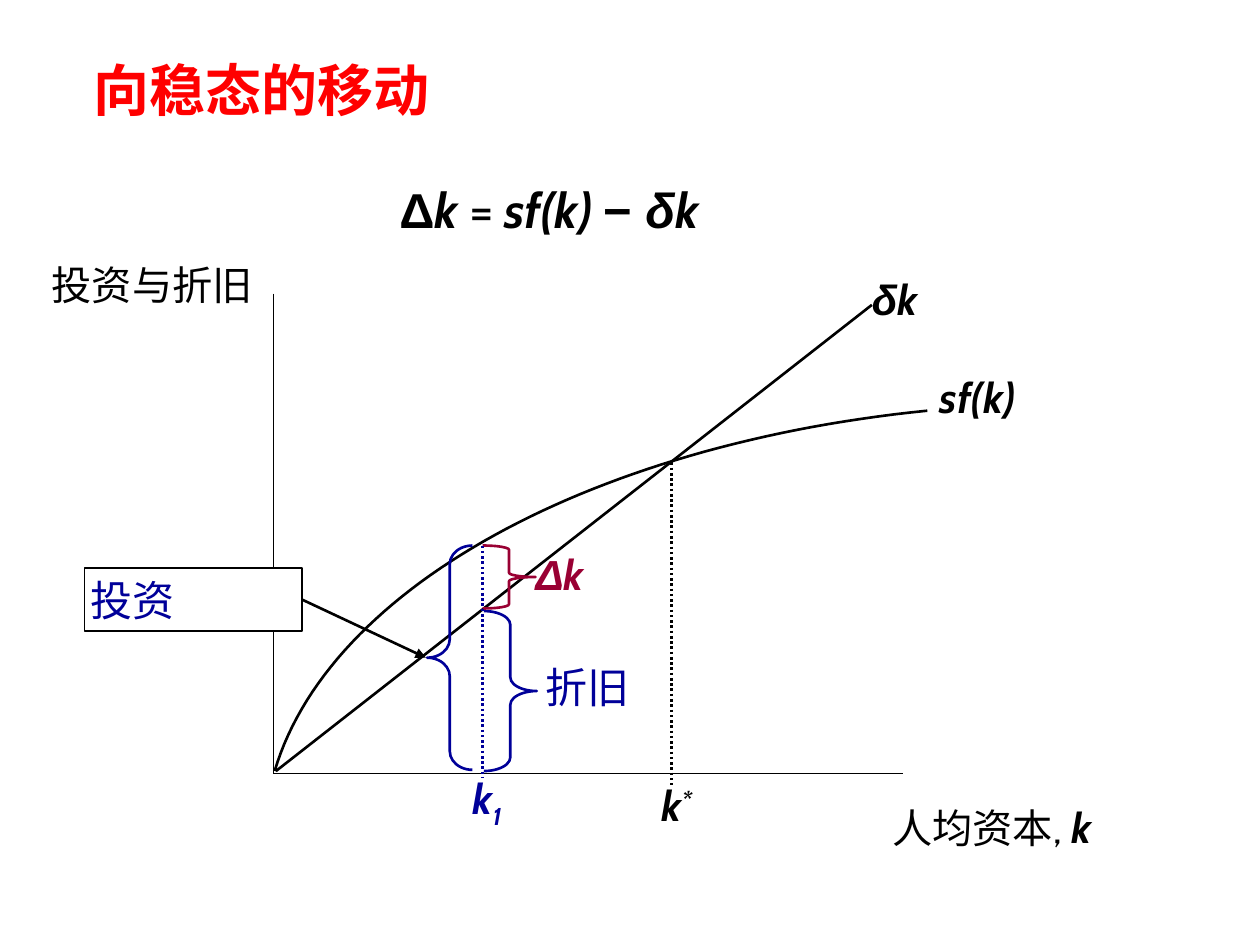
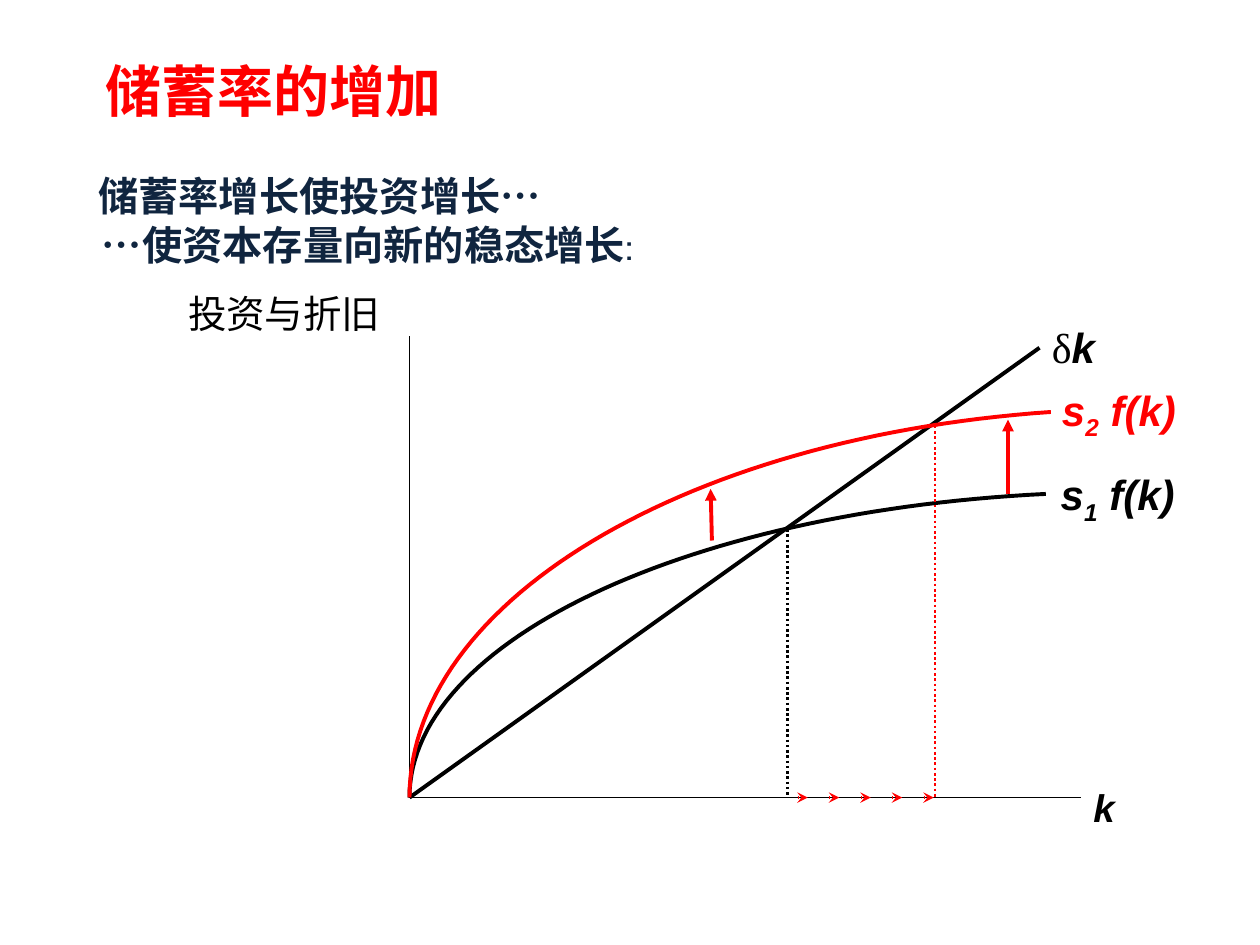
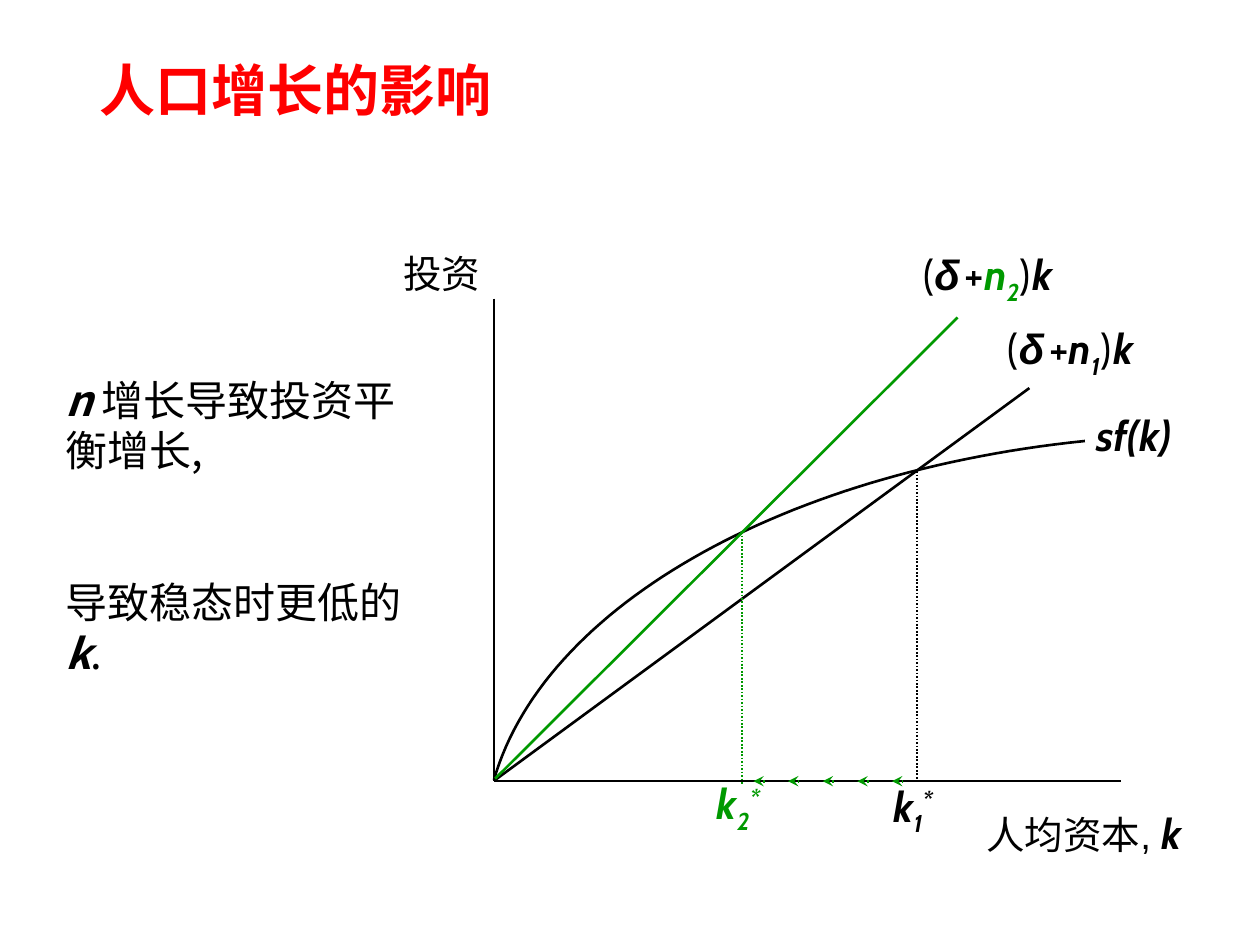
import pptx
import pptx.dml.color
import pptx.enum.dml
import pptx.enum.shapes
import pptx.enum.text
import pptx.oxml
import pptx.oxml.ns
import pptx.util
from pptx.util import Inches

COLORS = {"black": "000000", "white": "FFFFFF", "red": "FF0000", "blue": "000099",
          "crimson": "990033", "green": "009900", "navy": "10253F"}
CHINESE_FONT = "Noto Sans CJK SC"
SHAPES = pptx.enum.shapes.MSO_SHAPE
LEFT, CENTER = pptx.enum.text.PP_ALIGN.LEFT, pptx.enum.text.PP_ALIGN.CENTER
TOP, MIDDLE = pptx.enum.text.MSO_ANCHOR.TOP, pptx.enum.text.MSO_ANCHOR.MIDDLE

# Insets: left, top, right, bottom
FLUSH, SLIM, ROOMY = (0, 0, 0, 0), (0.05,) * 4, (0.1, 0.05, 0.1, 0.05)
LOW, HIGH_AND_LOW = (0, 0, 0, 0.1), (0, 0.1, 0, 0.1)
SUBSCRIPT, SUPERSCRIPT = -25000, 30000


def color(name):
    return pptx.dml.color.RGBColor.from_string(COLORS[name])


# Text
def plain(text, **formats):
    return text, {"name": "Cabin", "size": 24, "bold": False, "italic": False,
                  "color": "black", "baseline": 0, **formats}


def symbol(text, **formats):
    return plain(text, **{"bold": True, "italic": True, **formats})


def write(frame, spans, align=LEFT, before=0):
    para = frame.paragraphs[0]
    para.alignment = align
    para.space_before = pptx.util.Pt(before)
    for text, formats in spans:
        span = para.add_run()
        span.text = text
        span.font.color.rgb = color(formats["color"])
        span.font.size = pptx.util.Pt(formats["size"])
        for key in ("name", "bold", "italic"):
            setattr(span.font, key, formats[key])
        properties = span.font._element
        if formats["baseline"]:
            properties.set("baseline", str(formats["baseline"]))
        east_asian = pptx.oxml.parse_xml(
            f'<a:ea {pptx.oxml.ns.nsdecls("a")} typeface="{CHINESE_FONT}"/>')
        properties.append(east_asian)


def fill_frame(box, spans, insets, anchor, align, before):
    frame = box.text_frame
    frame.word_wrap = True
    frame.auto_size = pptx.enum.text.MSO_AUTO_SIZE.SHAPE_TO_FIT_TEXT
    frame.vertical_anchor = anchor
    for side, inset in zip(("left", "top", "right", "bottom"), insets):
        setattr(frame, "margin_" + side, Inches(inset))
    write(frame, spans, align, before)


def add_label(page, place, spans, insets=FLUSH, anchor=MIDDLE, align=LEFT, before=15):
    box = page.shapes.add_textbox(*map(Inches, place))
    fill_frame(box, spans, insets, anchor, align, before)


def add_panel(page, place, spans, insets, anchor=MIDDLE, align=LEFT, before=15,
              outline=None, opacity=None):
    panel = page.shapes.add_shape(SHAPES.RECTANGLE, *map(Inches, place))
    panel.shadow.inherit = False
    panel.fill.solid()
    panel.fill.fore_color.rgb = color("white")
    if opacity:
        fill = panel._element.spPr.find(".//" + pptx.oxml.ns.qn("a:srgbClr"))
        fill.append(pptx.oxml.parse_xml(
            f'<a:alpha {pptx.oxml.ns.nsdecls("a")} val="{opacity * 1000}"/>'))
    if outline:
        set_line(panel, outline, 1)
    else:
        panel.line.fill.background()
    fill_frame(panel, spans, insets, anchor, align, before)
    return panel


def add_page(deck, title, place, align=CENTER):
    page = deck.slides.add_slide(deck.slide_layouts[5])
    heading = page.shapes.title
    heading.left, heading.top, heading.width, heading.height = map(Inches, place)
    heading.text_frame.vertical_anchor = MIDDLE
    write(heading.text_frame,
          [plain(title, name=CHINESE_FONT, size=32, bold=True, color="red")], align)
    return page


# Lines, curves and braces
def set_line(shape, ink, width):
    shape.line.color.rgb = color(ink)
    shape.line.width = pptx.util.Pt(width)


def add_line(page, start, end, ink="black", width=1.5, dotted=False, arrow=None):
    line = page.shapes.add_connector(pptx.enum.shapes.MSO_CONNECTOR.STRAIGHT,
                                     *map(Inches, start + end))
    set_line(line, ink, width)
    if dotted:
        line.line.dash_style = pptx.enum.dml.MSO_LINE.ROUND_DOT
    namespace = pptx.oxml.ns.nsdecls("a")
    if arrow:
        line.line._get_or_add_ln().append(
            pptx.oxml.parse_xml(f'<a:tailEnd {namespace} type="{arrow}"/>'))
    line._element.spPr.append(pptx.oxml.parse_xml(f"<a:effectLst {namespace}/>"))
    return line


def add_axes(page, top, origin, right, width):
    add_line(page, (origin[0], top), origin, width=width)
    add_line(page, origin, (right, origin[1]), width=width)


def add_curve(page, controls, ink="black", width=1.5, steps=60):
    """Draw a cubic curve through its four control points."""
    points = []
    for step in range(steps + 1):
        t = step / steps
        weights = ((1 - t) ** 3, 3 * t * (1 - t) ** 2, 3 * t * t * (1 - t), t ** 3)
        points.append(tuple(Inches(sum(weight * control[axis] for weight, control
                                       in zip(weights, controls))) for axis in (0, 1)))
    builder = page.shapes.build_freeform(*points[0], scale=1.0)
    builder.add_line_segments(points[1:], close=False)
    curve = builder.convert_to_shape()
    curve.shadow.inherit = False
    curve.fill.background()
    set_line(curve, ink, width)


def add_brace(page, kind, place, bend, ink):
    brace = page.shapes.add_shape(kind, *map(Inches, place))
    brace.adjustments[0] = bend
    brace.shadow.inherit = False
    brace.fill.background()
    set_line(brace, ink, 1.5)


def add_arrow_row(page, first, last, level, length, ink, count=5):
    """Space short arrows evenly along the horizontal axis."""
    gap = (last - first) / (count - 1)
    for index in range(count):
        left = first + index * gap
        add_line(page, (left, level), (left + length, level), ink, arrow="stealth")


# Slides
def add_steady_state(deck):
    page = add_page(deck, "向稳态的移动", (0.64, 0.36, 9.17, 0.69), LEFT)
    add_axes(page, 2.33, (2.17, 6.14), 7.17, 1)
    add_label(page, (0.24, 2.07, 2.01, 0.38), [plain("投资与折旧 ", size=23)],
              align=CENTER, before=14.4)
    add_label(page, (7.08, 6.36, 1.75, 0.4), [plain("人均资本, ", size=23), symbol("k")])

    add_curve(page, [(7.36, 3.26), (4.68, 3.53), (2.61, 4.67), (2.18, 6.12)])
    add_label(page, (7.46, 2.95, 0.88, 0.4), [symbol("sf(k)")])
    add_label(page, (6.92, 2.17, 1.08, 0.4), [symbol("δ", name="Arial"), symbol("k")])
    add_line(page, (2.19, 6.12), (6.92, 2.42))
    add_line(page, (5.33, 3.67), (5.33, 6.23), dotted=True)
    add_label(page, (5.25, 6.19, 0.58, 0.4),
              [symbol("k"), symbol("*", baseline=SUPERSCRIPT)])

    # Equation
    large, large_arial = {"size": 28}, {"size": 28, "name": "Arial"}
    add_label(page, (3.17, 1.42, 2.92, 0.47),
              [symbol("Δ", italic=False, **large_arial), symbol("k", **large),
               plain(" = ", **large), symbol("sf(k) ", **large),
               symbol("− ", italic=False, **large_arial),
               symbol("δ", **large_arial), symbol("k", **large)], before=17.5)

    # Depreciation, change in capital and investment at k1
    add_brace(page, SHAPES.RIGHT_BRACE, (3.84, 4.85, 0.42, 1.27), 0.26, "blue")
    add_label(page, (4.33, 5.25, 1.83, 0.4), [plain("折旧", color="blue")], anchor=TOP)
    add_brace(page, SHAPES.RIGHT_BRACE, (3.83, 4.33, 0.42, 0.5), 0.08, "crimson")
    add_label(page, (4.25, 4.35, 0.58, 0.4),
              [symbol("Δ", name="Arial", color="crimson"), symbol("k", color="crimson")],
              anchor=TOP)
    add_label(page, (3.75, 6.03, 0.58, 0.66),
              [symbol("k", color="blue"), symbol("1", color="blue", baseline=SUBSCRIPT)],
              HIGH_AND_LOW)
    add_line(page, (3.83, 4.33), (3.83, 6.17), "blue", dotted=True)
    investment = add_panel(page, (0.67, 4.51, 1.73, 0.5), [plain("投资", color="blue")],
                           SLIM, outline="black")
    add_brace(page, SHAPES.LEFT_BRACE, (3.39, 4.33, 0.36, 1.78), 0.41, "blue")
    pointer = add_line(page, (2.4, 4.76), (3.38, 5.22), arrow="triangle")
    pointer.begin_connect(investment, 3)


def add_saving_rate(deck):
    page = add_page(deck, "储蓄率的增加", (-2.54, 0.44, 9.42, 0.55))
    arial = {"name": "Arial"}
    add_label(page, (1.17, 2.25, 2.17, 0.47), [plain("投资与折旧", size=22, **arial)],
              SLIM, TOP, CENTER, 13.8)
    add_axes(page, 2.67, (3.25, 6.33), 8.58, 0.75)
    add_label(page, (8.58, 6.17, 0.5, 0.47), [symbol("k", size=22, **arial)],
              ROOMY, TOP, before=13.8)
    add_label(page, (8.25, 2.5, 0.72, 0.5),
              [plain("δ", name="Times New Roman"), symbol("k", **arial)], ROOMY, TOP)
    add_line(page, (3.25, 6.33), (8.25, 2.76), width=2.25)
    add_line(page, (6.25, 4.2), (6.25, 6.33), dotted=True)

    # Explanation
    statement = {"name": CHINESE_FONT, "size": 23, "bold": True, "color": "navy"}
    add_label(page, (0.68, 1.31, 7.67, 0.49),
              [plain("储蓄率增长使投资增长…", **statement)], ROOMY, TOP, before=14.4)
    add_label(page, (0.71, 1.7, 9.17, 0.49),
              [plain("…使资本存量向新的稳态增长", **statement),
               plain(":", size=23, color="navy")], ROOMY, TOP, before=14.4)

    # Investment before and after the rise
    curves = [
        ("1", "black", [(8.3, 3.92), (5.43, 4.06), (3.25, 5.1), (3.25, 6.33)],
         (8.32, 3.67, 1.18, 0.56)),
        ("2", "red", [(8.34, 3.27), (5.43, 3.47), (3.25, 4.78), (3.25, 6.33)],
         (8.33, 3, 1.42, 0.56))]
    for number, ink, controls, place in curves:
        add_curve(page, controls, ink, 2.25)
        look = {"color": ink, **arial}
        add_label(page, place,
                  [symbol("s", **look), symbol(number, baseline=SUBSCRIPT, **look),
                   symbol(" f(k)", **look)], ROOMY, TOP)
    for start, end in [((8, 3.92), (8, 3.33)), ((5.65, 4.29), (5.64, 3.88))]:
        add_line(page, start, end, "red", 2.25, arrow="triangle")
    add_line(page, (7.42, 3.38), (7.42, 6.34), "red", dotted=True)
    add_arrow_row(page, 6.33, 7.33, 6.33, 0.08, "red")


def add_population_growth(deck):
    page = add_page(deck, "人口增长的影响", (-2.24, 0.36, 9.17, 0.69))
    add_axes(page, 2.37, (3.92, 6.2), 8.9, 1)
    add_panel(page, (2.5, 1.98, 2.01, 0.37), [plain("投资", size=22, name="Arial")],
              FLUSH, align=CENTER, before=13.8)
    add_label(page, (7.83, 6.41, 1.75, 0.4),
              [plain("人均资本, ", size=22, name="Arial"), symbol("k")])
    add_curve(page, [(8.61, 3.5), (6.18, 3.75), (4.31, 4.83), (3.92, 6.19)])
    add_label(page, (8.7, 3.25, 1.04, 0.4), [symbol("sf(k)")])

    # Break-even lines and their steady states
    cases = [
        ("1", "black", (8, 2.56, 1.5, 0.46), FLUSH, (3.93, 6.19), (8.17, 3.08),
         (7.09, 6.19, 0.58, 0.56), (7.28, 3.74), (7.28, 6.2)),
        ("2", "green", (7.33, 1.97, 1.5, 0.56), LOW, (3.93, 6.18), (7.6, 2.52),
         (5.69, 6.17, 0.58, 0.56), (5.89, 4.25), (5.89, 6.22))]
    for (number, ink, slope_place, insets, start, end,
         state_place, crossing, foot) in cases:
        index = symbol(number, color=ink, baseline=SUBSCRIPT)
        add_label(page, slope_place,
                  [plain("("), symbol("δ", name="Arial"), plain(" ", size=12), plain("+"),
                   symbol("n", color=ink), index, plain(")"), plain(" ", size=6),
                   symbol("k")], insets)
        add_line(page, start, end, ink)
        add_label(page, state_place,
                  [symbol("k", color=ink), index,
                   symbol("*", color=ink, baseline=SUPERSCRIPT)], LOW)
        add_line(page, crossing, foot, ink, 1, dotted=True)
    add_arrow_row(page, 7.17, 6.07, 6.2, -0.09, "green")

    # Explanation
    chinese = {"name": CHINESE_FONT}
    remarks = [
        (2.92, [symbol("n ", **chinese), plain("增长导致投资平衡增长,", **chinese)]),
        (4.53, [plain("导致稳态时更低的 ", **chinese), symbol("k", **chinese),
                plain(".", **chinese)])]
    for top, spans in remarks:
        add_panel(page, (0.42, top, 3, 0.9), spans, ROOMY, TOP, opacity=50)


def main():
    deck = pptx.Presentation()
    deck.slide_width, deck.slide_height = Inches(10), Inches(7.5)
    add_steady_state(deck)
    add_saving_rate(deck)
    add_population_growth(deck)
    deck.save("out.pptx")


if __name__ == "__main__":
    main()
